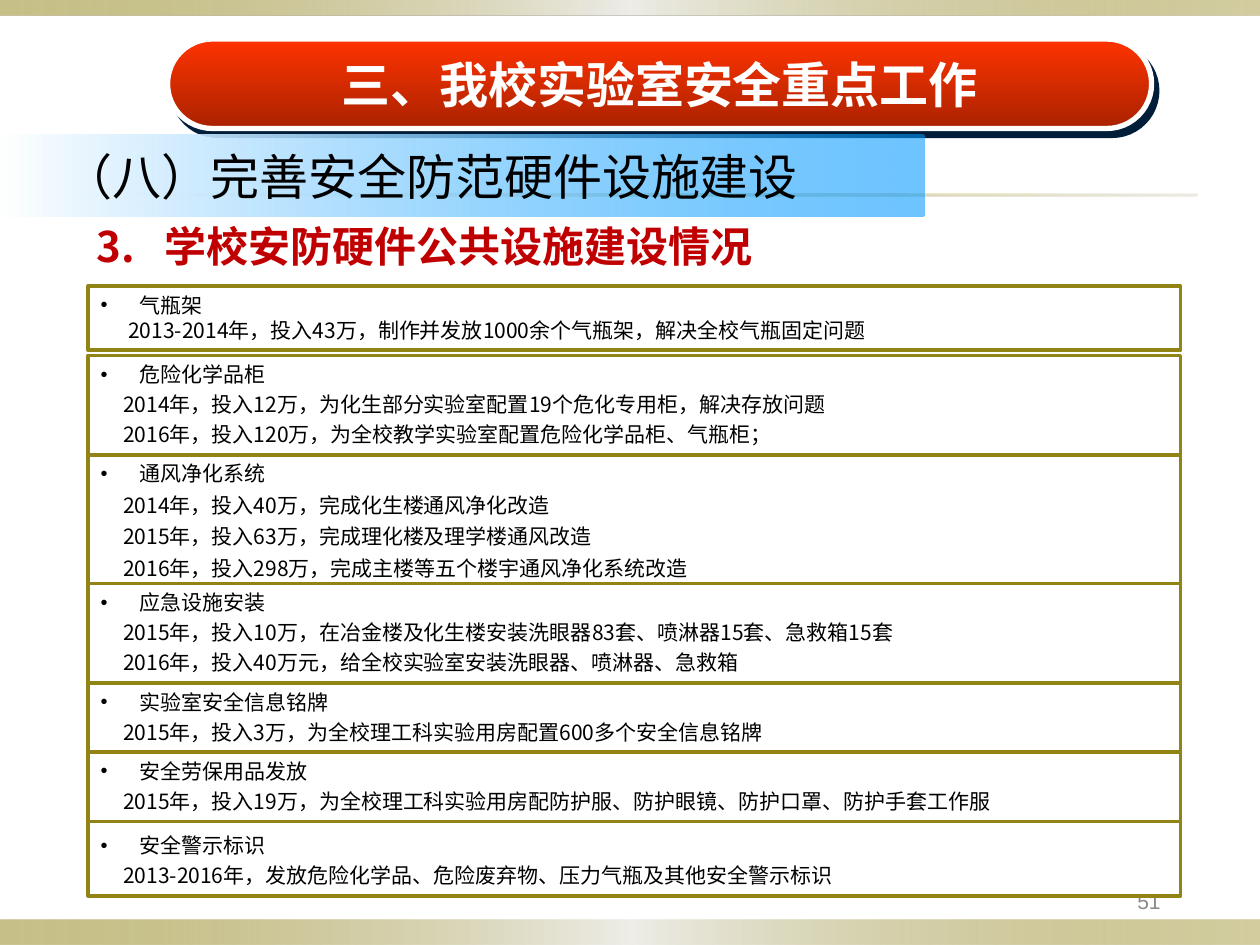
from dataclasses import dataclass

from pptx import Presentation
from pptx import util as u
from pptx.dml.color import RGBColor
from pptx.enum import shapes, text
from pptx.oxml import parse_xml
from pptx.oxml.ns import nsdecls, qn


@dataclass(frozen=True)
class Theme:
    """Colours, fonts and type sizes of the slide."""
    olive: str = "918415"
    silver: str = "EEEDE8"
    sand: str = "DCD9CC"
    white: str = "FFFFFF"
    ink: str = "000000"
    navy: str = "001D3A"
    red: str = "FF3300"
    dark_red: str = "AA2200"
    crimson: str = "C00000"
    sky: str = "0099FF"
    grey: str = "898989"
    cjk: str = "Noto Sans CJK SC"
    latin: str = "Arial"
    title: int = 28
    heading: int = 24
    body: int = 12


THEME = Theme()
COLUMNS, ROWS = 100, 75
WIDTH, HEIGHT = u.Inches(10), u.Inches(7.5)
PANEL_LEFT, PANEL_WIDTH = 7, 86.7
HANG = 0.31

# top row, height in rows, detail line spacing, heading, details
MEASURES = [
    (22.7, 5.1, None, "气瓶架",
     ["2013-2014年，投入43万，制作并发放1000余个气瓶架，解决全校气瓶固定问题"]),
    (28.2, 7.9, 1.2, "危险化学品柜",
     ["2014年，投入12万，为化生部分实验室配置19个危化专用柜，解决存放问题",
      "2016年，投入120万，为全校教学实验室配置危险化学品柜、气瓶柜；"]),
    (36.1, 10.6, u.Pt(18), "通风净化系统",
     ["2014年，投入40万，完成化生楼通风净化改造",
      "2015年，投入63万，完成理化楼及理学楼通风改造",
      "2016年，投入298万，完成主楼等五个楼宇通风净化系统改造"]),
    (46.3, 7.9, 1.2, "应急设施安装",
     ["2015年，投入10万，在冶金楼及化生楼安装洗眼器83套、喷淋器15套、急救箱15套",
      "2016年，投入40万元，给全校实验室安装洗眼器、喷淋器、急救箱"]),
    (54.2, 5.5, 1.2, "实验室安全信息铭牌",
     ["2015年，投入3万，为全校理工科实验用房配置600多个安全信息铭牌"]),
    (59.7, 5.5, 1.2, "安全劳保用品发放",
     ["2015年，投入19万，为全校理工科实验用房配防护服、防护眼镜、防护口罩、防护手套工作服"]),
    (65.2, 5.9, 1.2, "安全警示标识",
     ["2013-2016年，发放危险化学品、危险废弃物、压力气瓶及其他安全警示标识"]),
]


def cells(left, top, width, height):
    """Turn grid columns and rows into slide lengths."""
    return (int(WIDTH * left / COLUMNS), int(HEIGHT * top / ROWS),
            int(WIDTH * width / COLUMNS), int(HEIGHT * height / ROWS))


def add_block(slide, place, fill=None, line=None, weight=2,
              kind=shapes.MSO_SHAPE.RECTANGLE):
    """Add a preset shape without shadow."""
    block = slide.shapes.add_shape(kind, *cells(*place))
    block.shadow.inherit = False
    if fill:
        block.fill.solid()
        block.fill.fore_color.rgb = RGBColor.from_string(fill)
    else:
        block.fill.background()
    if line:
        block.line.color.rgb = RGBColor.from_string(line)
        block.line.width = u.Pt(weight)
    else:
        block.line.fill.background()
    return block


def paint_gradient(block, stops, angle=0):
    """Fill a block with (position, colour, opacity) stops in percent."""
    marks = "".join(
        f'<a:gs pos="{pos * 1000}"><a:srgbClr val="{colour}">'
        f'<a:alpha val="{opacity * 1000}"/></a:srgbClr></a:gs>'
        for pos, colour, opacity in stops)
    gradient = parse_xml(
        f'<a:gradFill {nsdecls("a")} rotWithShape="1"><a:gsLst>{marks}</a:gsLst>'
        f'<a:lin ang="{angle * 60000}" scaled="0"/></a:gradFill>')
    properties = block._element.spPr
    properties.replace(properties.find(qn("a:noFill")), gradient)


def cast_shadow(block, colour, distance, angle):
    """Give a block a hard offset shadow."""
    effects = block._element.spPr.find(qn("a:effectLst"))
    effects.append(parse_xml(
        f'<a:outerShdw {nsdecls("a")} blurRad="0" dist="{u.Pt(distance)}" '
        f'dir="{angle * 60000}" algn="ctr" rotWithShape="0">'
        f'<a:srgbClr val="{colour}"/></a:outerShdw>'))


def write(frame, words, size=THEME.body, colour=THEME.ink, font=THEME.cjk,
          bold=False, align=text.PP_ALIGN.LEFT, spacing=None,
          margin=0, indent=0, bullet=None, new=False):
    """Write one formatted paragraph into a text frame."""
    paragraph = frame.add_paragraph() if new else frame.paragraphs[0]
    paragraph.alignment = align
    if spacing:
        paragraph.line_spacing = spacing
    properties = paragraph._p.get_or_add_pPr()
    properties.set("marL", str(u.Inches(margin)))
    properties.set("indent", str(u.Inches(indent)))
    if bullet:
        for tag in ('buSzPct {} val="95000"', 'buFont {} typeface="Arial"',
                    f'buChar {{}} char="{bullet}"'):
            properties.append(parse_xml(f'<a:{tag.format(nsdecls("a"))}/>'))
    run = paragraph.add_run()
    run.text = words
    run.font.size = u.Pt(size)
    run.font.bold = bold
    run.font.color.rgb = RGBColor.from_string(colour)
    run.font.name = font
    run._r.get_or_add_rPr().append(
        parse_xml(f'<a:ea {nsdecls("a")} typeface="{THEME.cjk}"/>'))


def set_frame(shape, anchor=text.MSO_ANCHOR.TOP, left=0.1):
    """Prepare the text frame of a shape and return it."""
    frame = shape.text_frame
    frame.word_wrap = True
    frame.auto_size = text.MSO_AUTO_SIZE.NONE
    frame.vertical_anchor = anchor
    frame.margin_left = u.Inches(left)
    return frame


def add_bands(slide):
    """Add the top and bottom bands and the thin rule."""
    band = [(0, THEME.olive, 50), (50, THEME.silver, 100), (100, THEME.olive, 40)]
    rule = [(0, THEME.sand, 20), (50, THEME.olive, 40), (100, THEME.sand, 50)]
    for place, stops in (((0, 73, 100, 2), band), ((0, 0, 100, 1.2), band),
                         ((5, 15.4, 90, 0.2), rule)):
        paint_gradient(add_block(slide, place), stops)


def add_measure(slide, top, height, spacing, heading, details):
    """Add one outlined panel with a bulleted heading and its details."""
    panel = add_block(slide, (PANEL_LEFT, top, PANEL_WIDTH, height),
                      fill=THEME.white, line=THEME.olive)
    frame = set_frame(panel)
    justify = text.PP_ALIGN.JUSTIFY
    last = top == MEASURES[-1][0]
    write(frame, heading, align=justify, margin=HANG, indent=-HANG, bullet="•",
          spacing=spacing if last else None)
    for detail in details:
        write(frame, detail, align=justify, spacing=spacing,
              margin=0.18 if spacing else 0.22, new=True)


def add_title(slide):
    """Add the red pill and lay the title over it."""
    place = (13.3, 3.1, 78.1, 7.1)
    pill = add_block(slide, place, line=THEME.white, weight=3,
                     kind=shapes.MSO_SHAPE.ROUNDED_RECTANGLE)
    pill.adjustments[0] = 0.5
    paint_gradient(pill, [(0, THEME.red, 100), (100, THEME.dark_red, 100)], 90)
    cast_shadow(pill, THEME.navy, 5, 53)
    title = slide.shapes.title
    title.left, title.top, title.width, title.height = cells(*place)
    pill._element.addnext(title._element)
    write(set_frame(title, text.MSO_ANCHOR.MIDDLE), "三、我校实验室安全重点工作",
          size=THEME.title, colour=THEME.white, font=THEME.latin, bold=True,
          align=text.PP_ALIGN.CENTER)


def add_section(slide):
    """Add the blue section bar and the numbered heading under it."""
    bar = add_block(slide, (0, 10.7, 73.4, 6.5),
                    kind=shapes.MSO_SHAPE.ROUNDED_RECTANGLE)
    bar.adjustments[0] = 0.04
    paint_gradient(bar, [(0, THEME.white, 100), (100, THEME.sky, 57)])
    write(set_frame(bar, text.MSO_ANCHOR.MIDDLE, left=0.5),
          "（八）完善安全防范硬件设施建设", size=THEME.title)
    heading = slide.shapes.add_textbox(*cells(6.7, 17, 89.8, 5))
    write(set_frame(heading), "3.\t学校安防硬件公共设施建设情况",
          size=THEME.heading, colour=THEME.crimson, bold=True,
          margin=0.54, indent=-0.54)


def main():
    """Build and save the slide."""
    deck = Presentation()
    deck.slide_width, deck.slide_height = WIDTH, HEIGHT
    slide = deck.slides.add_slide(deck.slide_layouts[5])
    add_bands(slide)
    number = slide.shapes.add_textbox(*cells(70.6, 69.5, 22.5, 4))
    write(set_frame(number, text.MSO_ANCHOR.MIDDLE), "51", colour=THEME.grey,
          font=THEME.latin, align=text.PP_ALIGN.RIGHT)
    for measure in MEASURES:
        add_measure(slide, *measure)
    add_title(slide)
    add_section(slide)
    deck.save("out.pptx")


if __name__ == "__main__":
    main()
